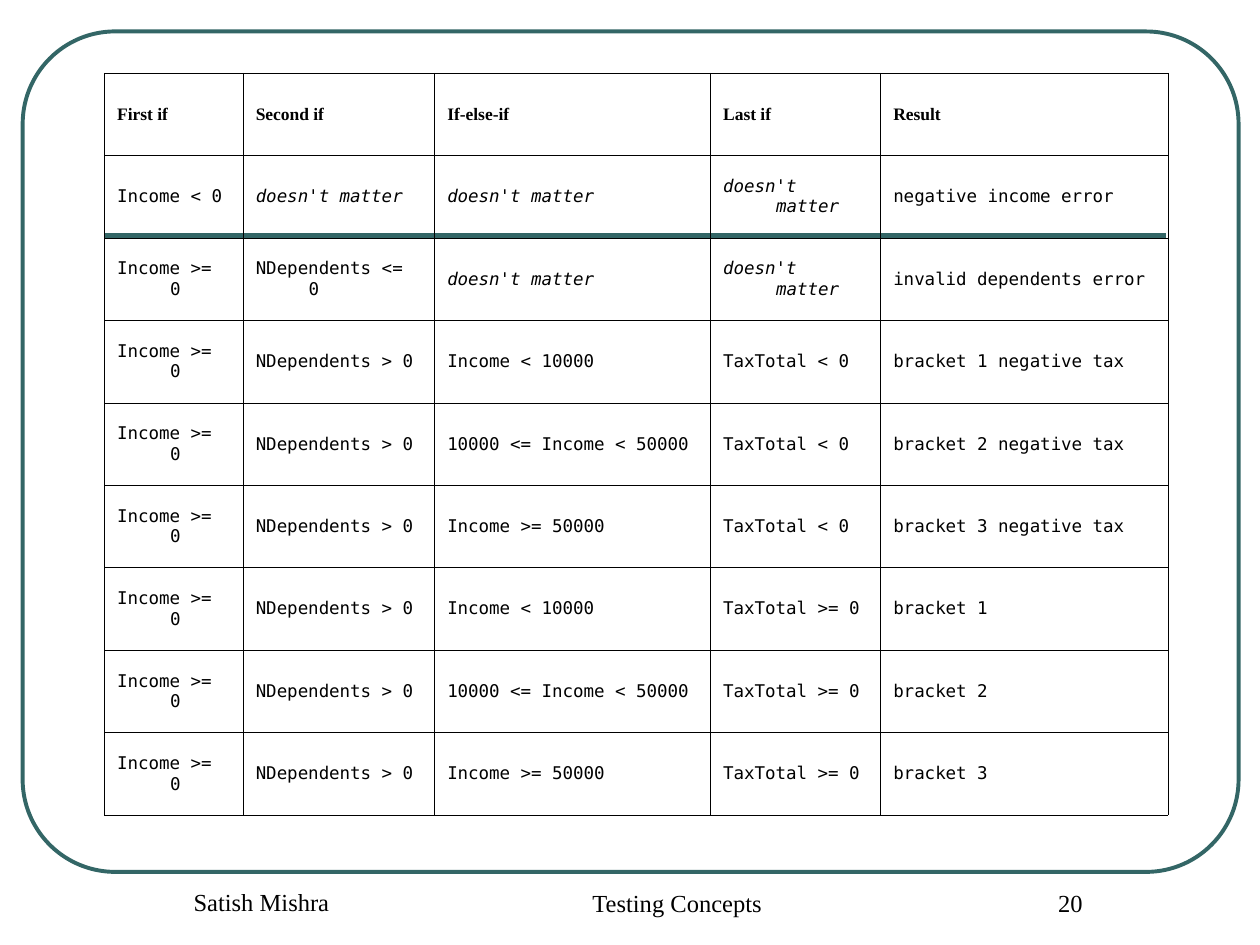
from pptx import Presentation
from pptx.dml.color import RGBColor
from pptx.enum.shapes import MSO_CONNECTOR, MSO_SHAPE
from pptx.enum.text import MSO_ANCHOR, PP_ALIGN
from pptx.oxml.ns import qn
from pptx.util import Inches, Pt
from lxml import etree

ROUNDED = MSO_SHAPE.ROUNDED_RECTANGLE
STRAIGHT = MSO_CONNECTOR.STRAIGHT
MIDDLE = MSO_ANCHOR.MIDDLE
CENTER = PP_ALIGN.CENTER

TEAL = "336666"
BLACK = "000000"
SERIF = "Times New Roman"
MONO = "DejaVu Sans Mono"

COLUMN_WIDTHS = [1.1, 1.52, 2.19, 1.35, 2.28]
TABLE_HEIGHT = 5.89
ANY = "doesn't matter"
VALID = ["Income >= 0", "NDependents > 0"]
BRACKETS = ["Income < 10000", "10000 <= Income < 50000", "Income >= 50000"]


def decision_rows():
    rows = [
        ["First if", "Second if", "If-else-if", "Last if", "Result"],
        ["Income < 0", ANY, ANY, ANY, "negative income error"],
        ["Income >= 0", "NDependents <= 0", ANY, ANY, "invalid dependents error"],
    ]
    for tax, suffix in [("TaxTotal < 0", " negative tax"), ("TaxTotal >= 0", "")]:
        for number, condition in enumerate(BRACKETS, 1):
            rows.append(VALID + [condition, tax, f"bracket {number}{suffix}"])
    return rows


def color(value):
    return RGBColor.from_string(value)


def style_runs(paragraph, name, size, bold=False, italic=False):
    for run in paragraph.runs:
        font = run.font
        font.name = name
        font.size = Pt(size)
        font.bold = bold
        font.italic = italic
        font.color.rgb = color(BLACK)


def set_indent(paragraph, left, first=0):
    properties = paragraph._p.get_or_add_pPr()
    properties.set("marL", str(Inches(left)))
    properties.set("indent", str(Inches(first)))
    return properties


def add_frame(slide):
    shape = slide.shapes.add_shape(
        ROUNDED, Inches(0.18), Inches(0.25), Inches(9.65), Inches(6.67))
    shape.adjustments[0] = 0.11
    shape.shadow.inherit = False
    shape.fill.background()
    shape.line.color.rgb = color(TEAL)
    shape.line.width = Pt(2.25)


def add_rule(slide):
    connector = slide.shapes.add_connector(
        STRAIGHT, Inches(0.83), Inches(1.87), Inches(9.25), Inches(1.87))
    connector.line.color.rgb = color(TEAL)
    connector.line.width = Pt(3)
    etree.SubElement(connector._element.spPr, qn("a:effectLst"))


def add_borders(cell):
    properties = cell._tc.get_or_add_tcPr()
    for side in ("a:lnL", "a:lnR", "a:lnT", "a:lnB"):
        line = etree.SubElement(properties, qn(side), w=str(Pt(0.34)))
        fill = etree.SubElement(line, qn("a:solidFill"))
        etree.SubElement(fill, qn("a:srgbClr"), val=BLACK)


def fill_cell(cell, text, header):
    add_borders(cell)
    cell.fill.background()
    cell.vertical_anchor = MIDDLE
    cell.text_frame.text = text
    paragraph = cell.text_frame.paragraphs[0]
    properties = set_indent(paragraph, 0.42, -0.42)
    tabs = etree.SubElement(properties, qn("a:tabLst"))
    for position in range(8):
        etree.SubElement(tabs, qn("a:tab"), pos=str(Inches(position)), algn="l")
    style_runs(paragraph, SERIF if header else MONO, 10,
               bold=header, italic=text == ANY)


def add_decision_table(slide):
    rows = decision_rows()
    table = slide.shapes.add_table(
        len(rows), len(COLUMN_WIDTHS), Inches(0.83), Inches(0.58),
        Inches(sum(COLUMN_WIDTHS)), Inches(TABLE_HEIGHT)).table
    table.first_row = False
    table.horz_banding = False
    for column, width in zip(table.columns, COLUMN_WIDTHS):
        column.width = Inches(width)
    for row_index, texts in enumerate(rows):
        table.rows[row_index].height = Inches(TABLE_HEIGHT / len(rows))
        for column_index, text in enumerate(texts):
            fill_cell(table.cell(row_index, column_index), text, row_index == 0)


def add_footer(slide, text, left, top, width):
    box = slide.shapes.add_textbox(
        Inches(left), Inches(top), Inches(width), Inches(0.5))
    box.text_frame.word_wrap = True
    box.text_frame.text = text
    paragraph = box.text_frame.paragraphs[0]
    paragraph.alignment = CENTER
    set_indent(paragraph, 0.24)
    style_runs(paragraph, SERIF, 14)


def main():
    presentation = Presentation()
    presentation.slide_width = Inches(10)
    presentation.slide_height = Inches(7.5)
    slide = presentation.slides.add_slide(presentation.slide_layouts[6])
    add_frame(slide)
    add_rule(slide)
    add_decision_table(slide)
    add_footer(slide, "Testing Concepts", 3.67, 7, 3.17)
    add_footer(slide, "20", 7.5, 7, 1.75)
    add_footer(slide, "Satish Mishra", 0.83, 6.99, 2.25)
    presentation.save("out.pptx")


if __name__ == "__main__":
    main()
